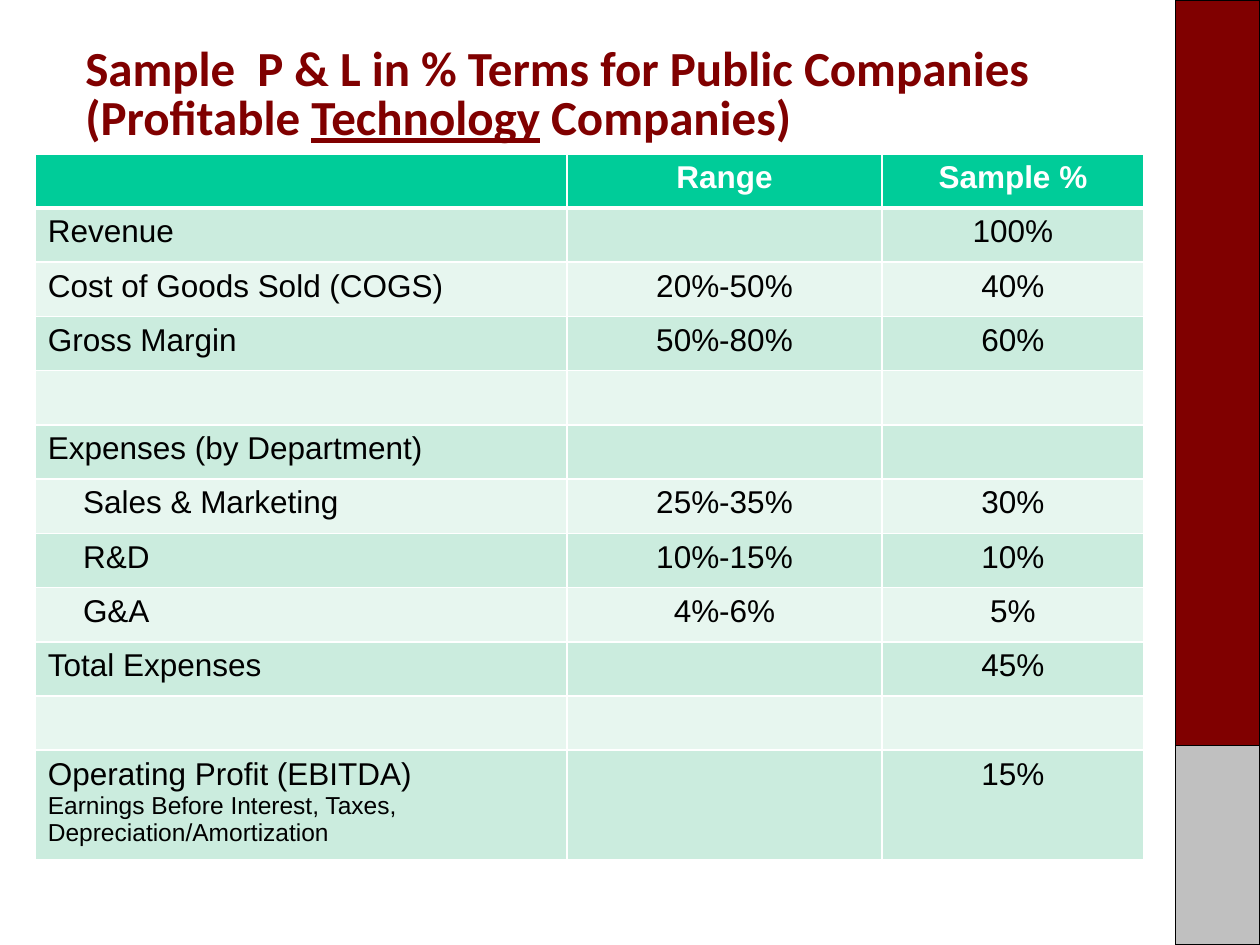
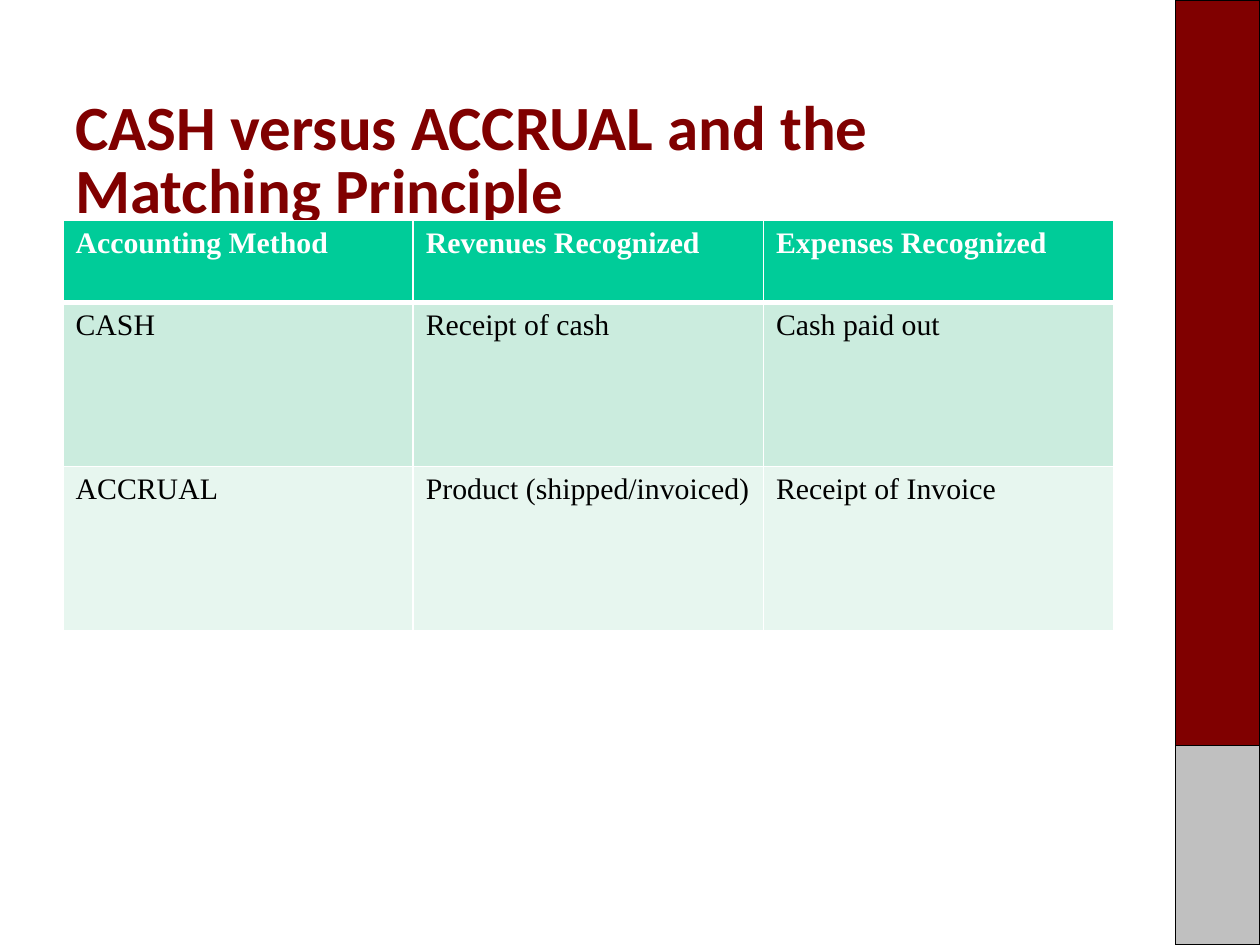
from dataclasses import dataclass
from itertools import product

from pptx import Presentation
from pptx.dml.color import RGBColor
from pptx.enum.shapes import MSO_SHAPE as Shape
from pptx.enum.text import MSO_ANCHOR as Anchor, PP_ALIGN as Align
from pptx.oxml.ns import qn
from pptx.slide import Slide
from pptx.table import _Cell as Cell
from pptx.util import Cm, Pt
from lxml.etree import SubElement

COLORS = {
    "maroon": "800000",
    "grey": "C0C0C0",
    "black": "000000",
    "white": "FFFFFF",
    "header": "00CC99",
    "odd_row": "CBECDE",
    "even_row": "E7F6EF",
}
TITLE_FONT = "Calibri"
SLIDE_W, SLIDE_H = 25.4, 19.05


@dataclass(frozen=True)
class Band:
    top: float
    height: float
    color: str


@dataclass(frozen=True)
class TitleRun:
    text: str
    underline: bool = False


@dataclass(frozen=True)
class Title:
    left: float
    top: float
    width: float
    height: float
    size: int
    runs: tuple[TitleRun, ...]


@dataclass(frozen=True)
class Line:
    text: str
    size: int | None = None
    indent: float = 0


@dataclass(frozen=True)
class Grid:
    """Row heights share the total height in proportion to their weights."""
    left: float
    top: float
    height: float
    col_widths: tuple[float, ...]
    row_weights: tuple[int, ...]
    font: str
    size: int
    aligns: tuple[Align, ...]
    rows: tuple[tuple[str | tuple[Line, ...], ...], ...]


BAND_W = 1.7
BANDS = (Band(0, 15.03, "maroon"), Band(15.03, 4.02, "grey"))


def rgb(name: str) -> RGBColor:
    return RGBColor.from_string(COLORS[name])


def draw_bands(slide: Slide) -> None:
    for band in BANDS:
        sp = slide.shapes.add_shape(Shape.RECTANGLE, Cm(SLIDE_W - BAND_W), Cm(band.top),
                                    Cm(BAND_W), Cm(band.height))
        sp.shadow.inherit = False
        sp.fill.solid()
        sp.fill.fore_color.rgb = rgb(band.color)
        sp.line.color.rgb = rgb("black")
        sp.line.width = Pt(0.75)


def draw_title(slide: Slide, title: Title) -> None:
    sp = slide.shapes.add_textbox(Cm(title.left), Cm(title.top),
                                  Cm(title.width), Cm(title.height))
    tf = sp.text_frame
    tf.word_wrap = True
    tf.vertical_anchor = Anchor.TOP
    p = tf.paragraphs[0]
    p.line_spacing = 0.83
    for run in title.runs:
        r = p.add_run()
        r.text = run.text
        r.font.name = TITLE_FONT
        r.font.size = Pt(title.size)
        r.font.bold = True
        r.font.underline = run.underline
        r.font.color.rgb = rgb("maroon")


def set_borders(cell: Cell, row: int) -> None:
    """White rules all round, with a heavier one under the header."""
    heavy = {0: "lnB", 1: "lnT"}.get(row)
    tc_pr = cell._tc.get_or_add_tcPr()
    for side in ("lnL", "lnR", "lnT", "lnB"):
        ln = SubElement(tc_pr, qn(f"a:{side}"), w=str(Pt(3 if side == heavy else 1)))
        fill = SubElement(ln, qn("a:solidFill"))
        SubElement(fill, qn("a:srgbClr"), val=COLORS["white"])


def write_cell(cell: Cell, lines: tuple[Line, ...], grid: Grid,
               align: Align, is_header: bool) -> None:
    tf = cell.text_frame
    for i, line in enumerate(lines):
        p = tf.add_paragraph() if i else tf.paragraphs[0]
        p.alignment = align
        if line.indent:
            p._p.get_or_add_pPr().set("marL", str(Cm(line.indent)))
        r = p.add_run()
        r.text = line.text
        r.font.name = grid.font
        r.font.size = Pt(line.size or grid.size)
        r.font.bold = is_header
        r.font.color.rgb = rgb("white" if is_header else "black")


def draw_grid(slide: Slide, grid: Grid) -> None:
    n_rows, n_cols = len(grid.rows), len(grid.col_widths)
    table = slide.shapes.add_table(n_rows, n_cols, Cm(grid.left), Cm(grid.top),
                                   Cm(sum(grid.col_widths)), Cm(grid.height)).table
    for column, width in zip(table.columns, grid.col_widths):
        column.width = Cm(width)
    unit = grid.height / sum(grid.row_weights)
    for row, weight in zip(table.rows, grid.row_weights):
        row.height = Cm(unit * weight)

    for i, j in product(range(n_rows), range(n_cols)):
        cell = table.cell(i, j)
        set_borders(cell, i)
        cell.fill.solid()
        cell.fill.fore_color.rgb = rgb(
            "header" if i == 0 else "odd_row" if i % 2 else "even_row")
        content = grid.rows[i][j]
        if content:
            lines = (Line(content),) if isinstance(content, str) else content
            write_cell(cell, lines, grid, grid.aligns[j], i == 0)


def department(name: str) -> tuple[Line, ...]:
    return (Line(name, indent=0.71),)


# Slide 1: sample profit and loss
PL_TITLE = Title(1.47, 0.84, 22.86, 1, 28, (
    TitleRun("Sample  P & L in % Terms for Public Companies (Profitable "),
    TitleRun("Technology", underline=True),
    TitleRun(" Companies)"),
))
PL_GRID = Grid(
    left=0.71, top=3.1, height=14.22,
    col_widths=(10.72, 6.35, 5.28),
    row_weights=(1,) * 11 + (2,),
    font="Arial", size=18,
    aligns=(Align.LEFT, Align.CENTER, Align.CENTER),
    rows=(
        ("", "Range", "Sample %"),
        ("Revenue", "", "100%"),
        ("Cost of Goods Sold (COGS)", "20%-50%", "40%"),
        ("Gross Margin", "50%-80%", "60%"),
        ("", "", ""),
        ("Expenses (by Department)", "", ""),
        (department("Sales & Marketing"), "25%-35%", "30%"),
        (department("R&D"), "10%-15%", "10%"),
        (department("G&A"), "4%-6%", "5%"),
        ("Total Expenses", "", "45%"),
        ("", "", ""),
        ((Line("Operating Profit (EBITDA)"),
          Line("Earnings Before Interest, Taxes, Depreciation/Amortization", size=14)),
         "", "15%"),
    ),
)

# Slide 2: cash and accrual accounting
METHODS_TITLE = Title(1.27, 1.9, 21.59, 2.54, 36, (
    TitleRun("CASH versus ACCRUAL and the Matching Principle"),
))
METHODS_GRID = Grid(
    left=1.27, top=4.45, height=8.26,
    col_widths=(7.06,) * 3,
    row_weights=(1, 2, 2),
    font="Times New Roman", size=17,
    aligns=(Align.LEFT,) * 3,
    rows=(
        ("Accounting Method", "Revenues Recognized", "Expenses Recognized"),
        ("CASH", "Receipt of cash", "Cash paid out"),
        ("ACCRUAL", "Product (shipped/invoiced)", "Receipt of Invoice"),
    ),
)


def main() -> None:
    prs = Presentation()
    prs.slide_width, prs.slide_height = Cm(SLIDE_W), Cm(SLIDE_H)
    blank = prs.slide_layouts[6]
    for title, grid in ((PL_TITLE, PL_GRID), (METHODS_TITLE, METHODS_GRID)):
        slide = prs.slides.add_slide(blank)
        draw_bands(slide)
        draw_title(slide, title)
        draw_grid(slide, grid)
    prs.save("out.pptx")


if __name__ == "__main__":
    main()
